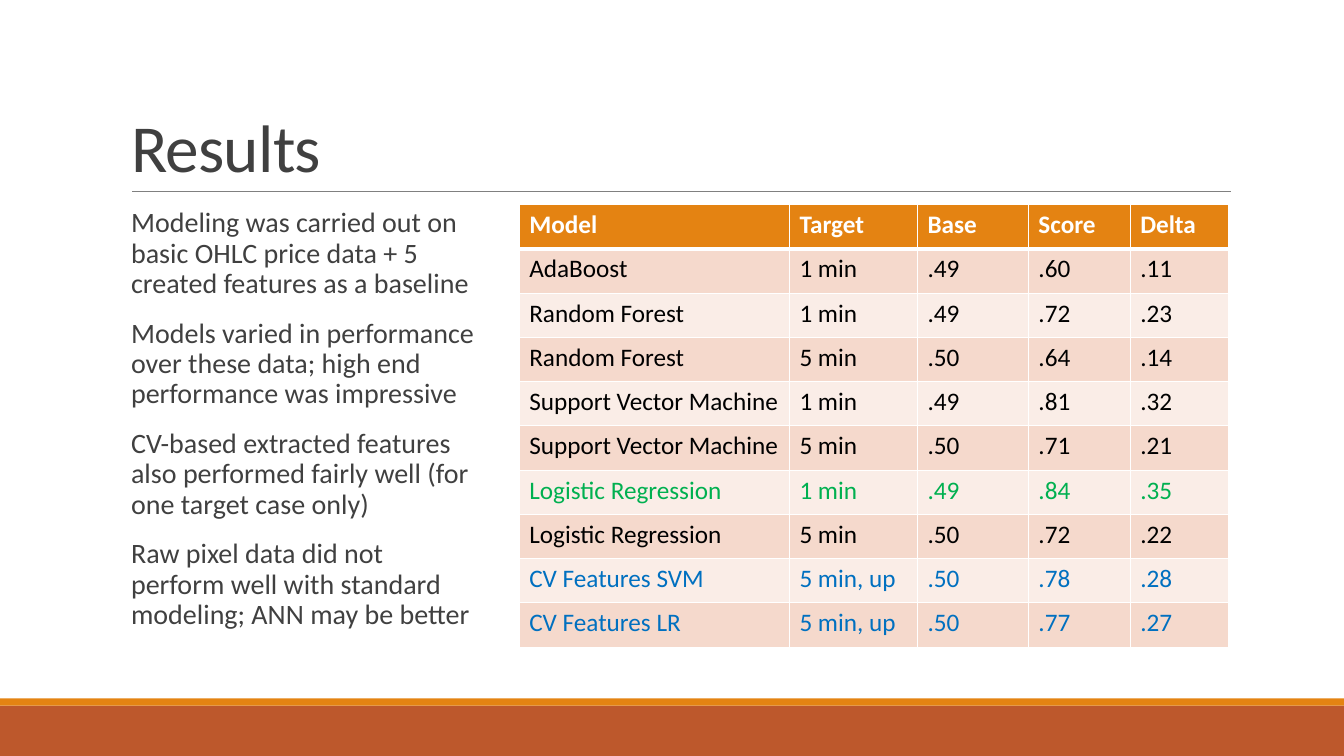
import pptx
import pptx.util
import pptx.dml.color
import pptx.enum.shapes
import pptx.enum.text
import pptx.oxml.ns
import lxml.etree

Inches, Pt = pptx.util.Inches, pptx.util.Pt
RGB = pptx.dml.color.RGBColor.from_string
qn = pptx.oxml.ns.qn

THEME = {
    "font": "Calibri",
    "title_size": 48, "body_size": 20, "table_size": 18,
    "text": "404040", "rule": "808080", "white": "FFFFFF", "black": "000000",
    "orange": "E48312", "rust": "BD582C",
    "band_dark": "F5D9CC", "band_light": "FAEDE7",
    "best": "00B050", "vision": "0070C0",
}


def add_run(p, text, size, color, bold=False):
    r = p.add_run()
    r.text = text
    r.font.name = THEME["font"]
    r.font.size = Pt(size)
    r.font.bold = bold
    r.font.color.rgb = RGB(color)
    return r


def add_border(cell, side, width):
    ln = lxml.etree.SubElement(cell._tc.get_or_add_tcPr(), qn("a:" + side), w=str(Pt(width)))
    fill = lxml.etree.SubElement(ln, qn("a:solidFill"))
    lxml.etree.SubElement(fill, qn("a:srgbClr"), val=THEME["white"])


prs = pptx.Presentation()
prs.slide_width, prs.slide_height = Inches(13.33), Inches(7.5)
s = prs.slides.add_slide(prs.slide_layouts[1])

# Footer bands
for top, height, color in [(7, 0.5, "rust"), (6.93, 0.07, "orange")]:
    sp = s.shapes.add_shape(pptx.enum.shapes.MSO_SHAPE.RECTANGLE,
                            0, Inches(top), prs.slide_width, Inches(height))
    sp.shadow.inherit = False
    sp.fill.solid()
    sp.fill.fore_color.rgb = RGB(THEME[color])
    sp.line.fill.background()

# Rule under the title
rule = s.shapes.add_connector(pptx.enum.shapes.MSO_CONNECTOR.STRAIGHT,
                              Inches(1.31), Inches(1.9), Inches(12.21), Inches(1.9))
rule.line.color.rgb = RGB(THEME["rule"])
rule.line.width = Pt(0.5)
lxml.etree.SubElement(rule._element.spPr, qn("a:effectLst"))

# Title
title = s.shapes.title
title.left, title.top, title.width, title.height = map(Inches, (1.2, 0.31, 11, 1.59))
tf = title.text_frame
tf.auto_size = pptx.enum.text.MSO_AUTO_SIZE.NONE
tf.vertical_anchor = pptx.enum.text.MSO_ANCHOR.BOTTOM
p = tf.paragraphs[0]
p.alignment = pptx.enum.text.PP_ALIGN.LEFT
p.line_spacing = 0.85
r = add_run(p, "Results", THEME["title_size"], THEME["text"])
r.font._element.set("spc", "-50")

# Findings
findings = [
    "Modeling was carried out on basic OHLC price data + 5 created features as a baseline",
    "Models varied in performance over these data; high end performance was impressive",
    "CV-based extracted features also performed fairly well (for one target case only)",
    "Raw pixel data did not perform well with standard modeling; ANN may be better",
]
body = s.placeholders[1]
body.left, body.top, body.width, body.height = map(Inches, (1.2, 2.02, 3.58, 4.4))
tf = body.text_frame
tf.auto_size = pptx.enum.text.MSO_AUTO_SIZE.NONE
tf.vertical_anchor = pptx.enum.text.MSO_ANCHOR.TOP
tf.margin_left = tf.margin_right = 0
for i, finding in enumerate(findings):
    p = tf.add_paragraph() if i else tf.paragraphs[0]
    p.line_spacing = 0.9
    p.space_before, p.space_after = Pt(12), Pt(2)
    pPr = p._p.get_or_add_pPr()
    pPr.set("marL", str(Inches(0.1)))
    pPr.set("indent", str(-Inches(0.1)))
    lxml.etree.SubElement(pPr, qn("a:buChar"), char=" ")
    add_run(p, finding, THEME["body_size"], THEME["text"])

# Scores table
results = [
    ("Model", "Target", "Base", "Score", "Delta"),
    ("AdaBoost", "1 min", ".49", ".60", ".11"),
    ("Random Forest", "1 min", ".49", ".72", ".23"),
    ("Random Forest", "5 min", ".50", ".64", ".14"),
    ("Support Vector Machine", "1 min", ".49", ".81", ".32"),
    ("Support Vector Machine", "5 min", ".50", ".71", ".21"),
    ("Logistic Regression", "1 min", ".49", ".84", ".35"),
    ("Logistic Regression", "5 min", ".50", ".72", ".22"),
    ("CV Features SVM", "5 min, up", ".50", ".78", ".28"),
    ("CV Features LR", "5 min, up", ".50", ".77", ".27"),
]
row_colors = {0: "white", 6: "best", 8: "vision", 9: "vision"}
table = s.shapes.add_table(len(results), len(results[0]), Inches(5.15), Inches(2.03),
                           Inches(7.05), Inches(4.39)).table
for col, width in zip(table.columns, (2.68, 1.27, 1.1, 1.01, 0.98)):
    col.width = Inches(width)
for i, row in enumerate(results):
    band = "orange" if i == 0 else "band_dark" if i % 2 else "band_light"
    for j, text in enumerate(row):
        cell = table.cell(i, j)
        add_border(cell, "lnL", 1)
        add_border(cell, "lnR", 1)
        add_border(cell, "lnT", 3 if i == 1 else 1)
        add_border(cell, "lnB", 3 if i == 0 else 1)
        cell.fill.solid()
        cell.fill.fore_color.rgb = RGB(THEME[band])
        add_run(cell.text_frame.paragraphs[0], text, THEME["table_size"],
                THEME[row_colors.get(i, "black")], bold=i == 0)

prs.save("out.pptx")
